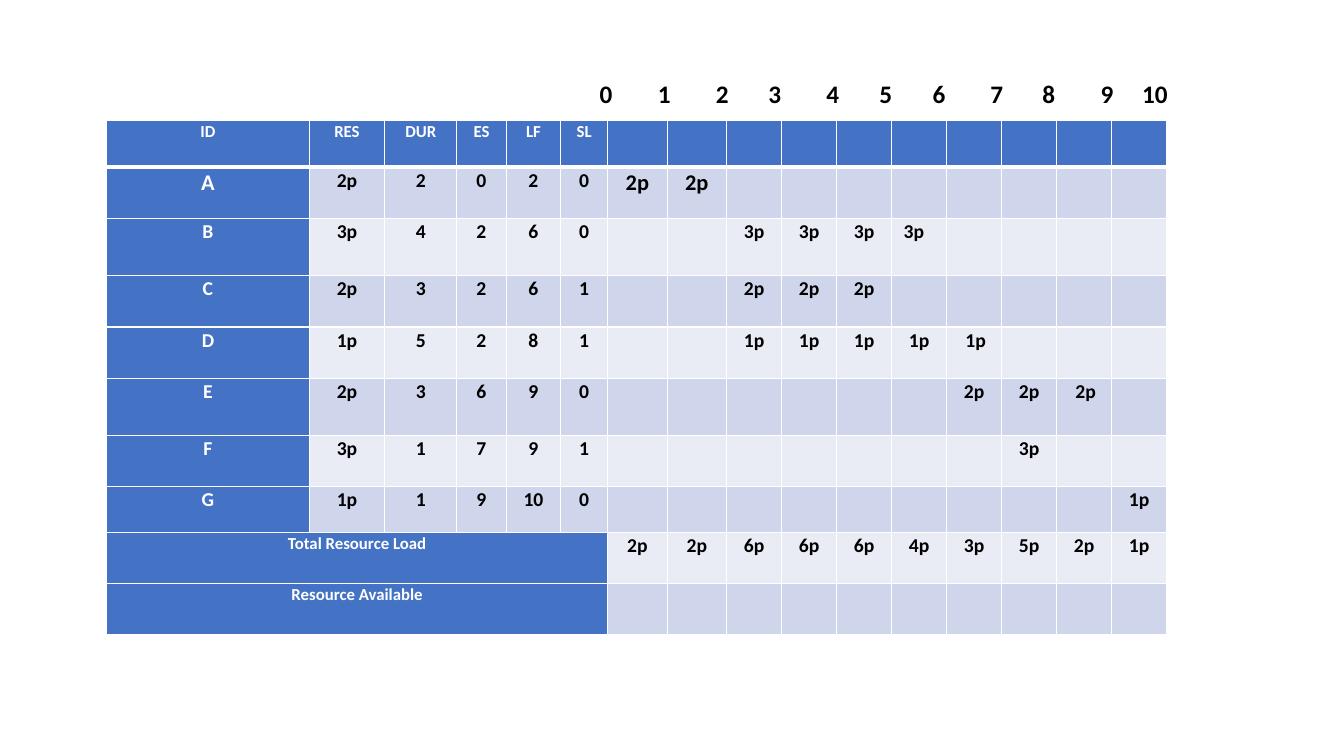
from lxml.etree import SubElement
from pptx import Presentation
from pptx.dml.color import RGBColor
from pptx.enum.text import PP_ALIGN
from pptx.oxml.ns import qn
from pptx.util import Pt

COLORS = {
    "head": "4472C4",
    "odd": "CFD5EA",
    "even": "E9EBF5",
    "white": "FFFFFF",
    "black": "000000",
}
FONT = "Calibri"
HEADINGS = ["ID", "RES", "DUR", "ES", "LF", "SL"]
ACTIVITIES = [
    ("A", 2, 2, 0, 2, 0, range(0, 2)),
    ("B", 3, 4, 2, 6, 0, range(2, 6)),
    ("C", 2, 3, 2, 6, 1, range(2, 5)),
    ("D", 1, 5, 2, 8, 1, range(2, 7)),
    ("E", 2, 3, 6, 9, 0, range(6, 9)),
    ("F", 3, 1, 7, 9, 1, range(7, 8)),
    ("G", 1, 1, 9, 10, 0, range(9, 10)),
]
PERIODS = 10
FIXED = len(HEADINGS)
COL_WIDTHS = [144.7, 54, 51.4, 35.3, 39, 33.5, 42.5, 42.5] + [39.3] * 8
ROW_HEIGHTS = [33.5, 36.5, 40.7, 37, 36.5, 40.7, 37, 32.4, 36.7, 36.7]
TICK_STOPS = [46.2, 87.7, 125.2, 166.6, 204.5, 242.4, 283.8, 320.9, 362.4, 396.7]
SIDE_MARGIN = 5.4
LEFT_NUDGES = {(2, 11): 3.2, (4, 12): 2.3, (5, 14): 2.3}


def rgb(name):
    return RGBColor.from_string(COLORS[name])


def add_run(p, text, size, color):
    r = p.add_run()
    r.text = text
    r.font.name = FONT
    r.font.size = Pt(size)
    r.font.bold = True
    r.font.color.rgb = rgb(color)


def set_borders(cell, bottom):
    tcPr = cell._tc.get_or_add_tcPr()
    widths = {"a:lnL": 1, "a:lnR": 1, "a:lnT": 1, "a:lnB": bottom}
    for i, (tag, width) in enumerate(widths.items()):
        ln = SubElement(tcPr, qn(tag), w=str(Pt(width)))
        fill = SubElement(ln, qn("a:solidFill"))
        SubElement(fill, qn("a:srgbClr"), val=COLORS["white"])
        tcPr.insert(i, ln)


def schedule_rows():
    rows = [HEADINGS + [""] * PERIODS]
    load = [0] * PERIODS
    for name, people, dur, es, lf, sl, busy in ACTIVITIES:
        bars = [f"{people}p" if t in busy else "" for t in range(PERIODS)]
        for t in busy:
            load[t] += people
        rows.append([name, f"{people}p", str(dur), str(es), str(lf), str(sl)] + bars)
    blank = [""] * (FIXED - 1)
    rows.append(["Total Resource Load"] + blank + [f"{n}p" for n in load])
    rows.append(["Resource Available"] + blank + [""] * PERIODS)
    return rows


def text_size(row, col):
    if row == 0 or (row > len(ACTIVITIES) and col == 0):
        return 12
    if row == 1 and (col == 0 or col >= FIXED):
        return 16
    return 14


def fill_cell(cell, text, row, col):
    is_head = row == 0 or col == 0
    cell.fill.solid()
    cell.fill.fore_color.rgb = rgb("head" if is_head else "odd" if row % 2 else "even")
    set_borders(cell, 3 if row == 0 else 1)
    cell.margin_left = Pt(SIDE_MARGIN + LEFT_NUDGES.get((row, col), 0))
    cell.margin_right = Pt(SIDE_MARGIN)
    cell.margin_top = cell.margin_bottom = 0
    if text:
        p = cell.text_frame.paragraphs[0]
        p.alignment = PP_ALIGN.LEFT if (row, col) == (2, 11) else PP_ALIGN.CENTER
        p.line_spacing = 1.06
        p.space_after = Pt(8)
        add_run(p, text, text_size(row, col), "white" if is_head else "black")


def add_time_scale(s, left, top, width, height):
    tf = s.shapes.add_textbox(Pt(left), Pt(top), Pt(width), Pt(height)).text_frame
    tf.word_wrap = True
    p = tf.paragraphs[0]
    p.line_spacing = 0.9
    tabs = SubElement(p._p.get_or_add_pPr(), qn("a:tabLst"))
    for stop in TICK_STOPS:
        SubElement(tabs, qn("a:tab"), pos=str(Pt(stop)), algn="ctr")
    add_run(p, "\t".join(str(t) for t in range(PERIODS + 1)), 18, "black")


def add_schedule(s, left, top, width, height):
    rows = schedule_rows()
    table = s.shapes.add_table(
        len(rows), len(COL_WIDTHS), Pt(left), Pt(top), Pt(width), Pt(height)
    ).table
    table.first_col = True
    for column, w in zip(table.columns, COL_WIDTHS):
        column.width = Pt(w)
    for table_row, h in zip(table.rows, ROW_HEIGHTS):
        table_row.height = Pt(h)
    for i, texts in enumerate(rows):
        for j, text in enumerate(texts):
            fill_cell(table.cell(i, j), text, i, j)
    for i in range(len(ACTIVITIES) + 1, len(rows)):
        table.cell(i, 0).merge(table.cell(i, FIXED - 1))


def main():
    prs = Presentation()
    prs.slide_width, prs.slide_height = Pt(960), Pt(540)
    s = prs.slides.add_slide(prs.slide_layouts[6])
    add_time_scale(s, 421.2, 54.7, 468, 31.7)
    add_schedule(s, 76.2, 86, sum(COL_WIDTHS), sum(ROW_HEIGHTS))
    prs.save("out.pptx")


if __name__ == "__main__":
    main()
